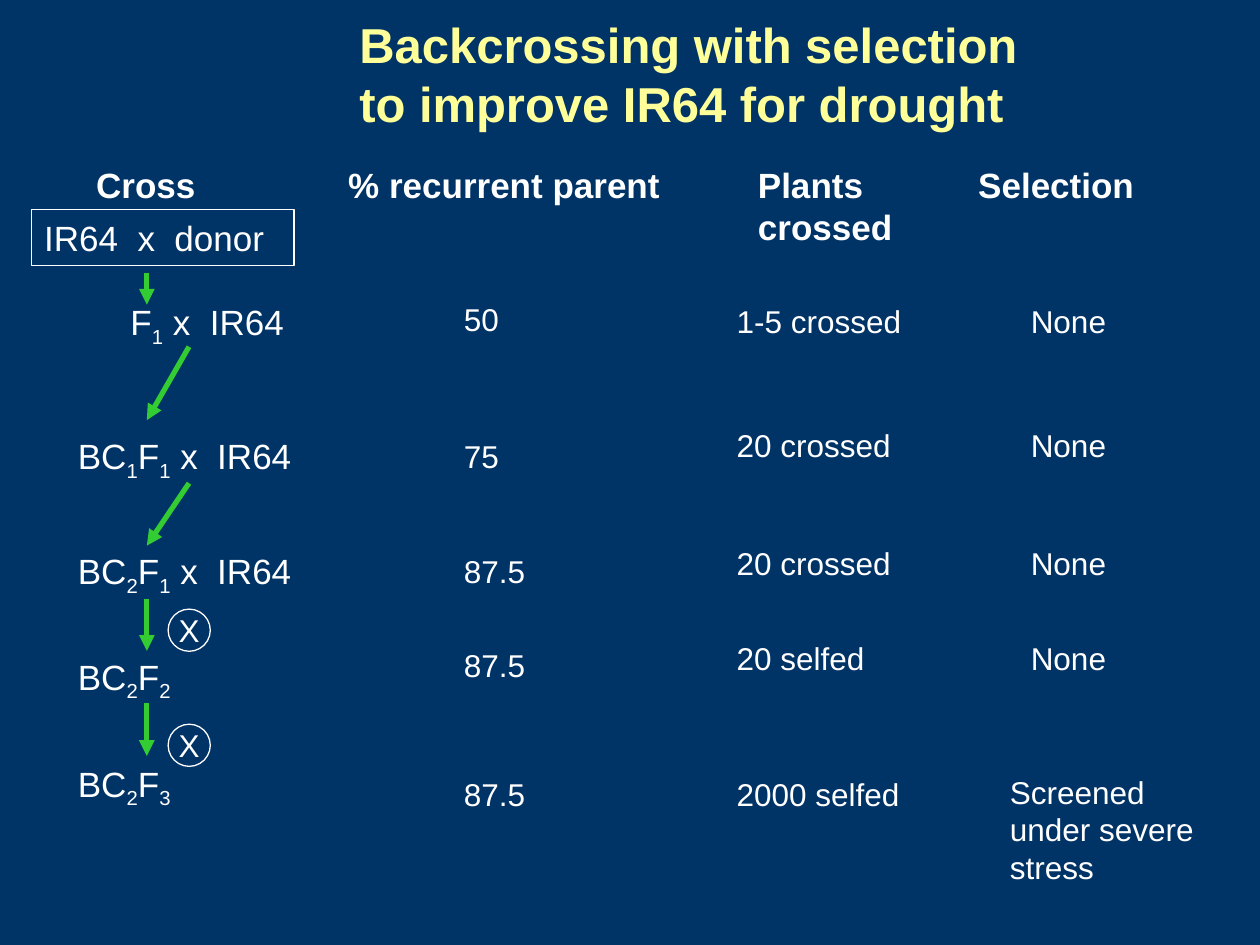
import dataclasses

import pptx
import pptx.dml.color
import pptx.enum.shapes
import pptx.enum.text
import pptx.oxml.ns
import pptx.util
from lxml import etree

Cm = pptx.util.Cm
SHAPES = pptx.enum.shapes.MSO_SHAPE
ALIGN = pptx.enum.text.PP_ALIGN
ANCHOR = pptx.enum.text.MSO_ANCHOR


@dataclasses.dataclass
class Theme:
    font: str = "Arial"
    back: str = "003366"
    title: str = "FFFF99"
    text: str = "FFFFFF"
    arrow: str = "33CC33"
    large: int = 28
    head: int = 20
    body: int = 18
    thin: float = 0.75
    thick: float = 3


def paint(code):
    return pptx.dml.color.RGBColor.from_string(code)


class Painter:
    def __init__(self, deck, theme):
        self.theme = theme
        self.slide = deck.slides.add_slide(deck.slide_layouts[5])
        fill = self.slide.background.fill
        fill.solid()
        fill.fore_color.rgb = paint(theme.back)

    def style(self, frame, size, color, bold=False, align=ALIGN.LEFT):
        for para in frame.paragraphs:
            para.alignment = align
            for run in para.runs:
                font = run.font
                font.name = self.theme.font
                font.size = pptx.util.Pt(size)
                font.bold = bold
                font.color.rgb = paint(color)

    def title(self, text, left, top, width, height):
        shape = self.slide.shapes.title
        shape.left, shape.top = Cm(left), Cm(top)
        shape.width, shape.height = Cm(width), Cm(height)
        frame = shape.text_frame
        frame.text = text
        frame.word_wrap = True
        frame.auto_size = pptx.enum.text.MSO_AUTO_SIZE.NONE
        frame.vertical_anchor = ANCHOR.MIDDLE
        self.style(frame, self.theme.large, self.theme.title, True)

    def label(self, text, left, top, width, size, bold=False, height=1.02):
        """Add a text box; an underscore lowers the character after it."""
        box = self.slide.shapes.add_textbox(
            Cm(left), Cm(top), Cm(width), Cm(height))
        frame = box.text_frame
        frame.word_wrap = True
        first, *parts = text.split("_")
        frame.text = first
        para = frame.paragraphs[0]
        for part in parts:
            low = para.add_run()
            low.text = part[0]
            low.font._element.set("baseline", "-25000")
            if part[1:]:
                para.add_run().text = part[1:]
        self.style(frame, size, self.theme.text, bold)

    def outline(self, kind, text, left, top, width, height, size, align):
        shape = self.slide.shapes.add_shape(
            kind, Cm(left), Cm(top), Cm(width), Cm(height))
        shape.shadow.inherit = False
        shape.fill.background()
        shape.line.color.rgb = paint(self.theme.text)
        shape.line.width = pptx.util.Pt(self.theme.thin)
        frame = shape.text_frame
        frame.text = text
        frame.word_wrap = False
        frame.vertical_anchor = ANCHOR.MIDDLE
        if align == ALIGN.CENTER:
            frame.margin_left = frame.margin_right = 0
            frame.margin_top = frame.margin_bottom = 0
        self.style(frame, size, self.theme.text, align=align)

    def arrow(self, start, end):
        line = self.slide.shapes.add_connector(
            pptx.enum.shapes.MSO_CONNECTOR.STRAIGHT,
            *(Cm(value) for value in (*start, *end)))
        line.line.color.rgb = paint(self.theme.arrow)
        line.line.width = pptx.util.Pt(self.theme.thick)
        name = pptx.oxml.ns.qn
        etree.SubElement(line.line._ln, name("a:tailEnd"), type="triangle")
        etree.SubElement(line._element.spPr, name("a:effectLst"))


def main():
    theme = Theme()
    deck = pptx.Presentation()
    deck.slide_width, deck.slide_height = Cm(25.4), Cm(19.05)
    art = Painter(deck, theme)

    art.title("Backcrossing with selection \vto improve IR64 for drought",
              6.99, 1.06, 17.99, 0.85)

    # Column heads
    for text, left, width, height in (
            ("Cross", 1.69, 4.23, 1.11),
            ("% recurrent parent", 6.77, 7.62, 1.11),
            ("Plants crossed", 15.03, 3.89, 1.96),
            ("Selection", 19.47, 4.87, 1.11)):
        art.label(text, left, 3.18, width, theme.head, True, height)

    # First cross
    art.outline(SHAPES.RECTANGLE, "IR64  x  donor", 0.64, 4.23, 5.29, 1.12,
                theme.head, ALIGN.LEFT)

    # Crosses down the left side
    for text, left, top in (
            ("F_1 x  IR64", 2.38, 5.93),
            ("BC_1F_1 x  IR64", 1.32, 8.64),
            ("BC_2F_1 x  IR64", 1.32, 10.96),
            ("BC_2F_2", 1.32, 13.08),
            ("BC_2F_3", 1.32, 15.24)):
        art.label(text, left, top, 6.5 - left, theme.head, height=1.22)

    # Share of recurrent parent, and plants used
    for share, high, plants, top in (
            ("50", 5.93, "1-5 crossed", 5.97),
            ("75", 8.68, "20 crossed", 8.47),
            ("87.5", 11, "20 crossed", 10.85),
            ("87.5", 12.9, "20 selfed", 12.75),
            ("87.5", 15.49, "2000 selfed", 15.49)):
        art.label(share, 9.1, high, 2.2, theme.body)
        art.label(plants, 14.6, top, 4.2, theme.body)

    # Selection
    for top in (5.97, 8.47, 10.85, 12.75):
        art.label("None", 20.53, top, 4, theme.body)
    art.label("Screened under severe stress", 20.11, 15.45, 4.65, theme.body,
              height=2.54)

    # Arrows from one cross to the next
    near, far = 2.96, 3.81
    for left, top, base in (
            (near, 5.5, 6.14), (far, 6.99, 8.47), (far, 9.74, 11),
            (near, 12.07, 13.12), (near, 14.18, 15.24)):
        art.arrow((left, top), (near, base))

    # Selfing marks
    for top in (12.28, 14.6):
        art.outline(SHAPES.OVAL, "X", 3.39, top, 0.85, 0.85,
                    theme.body, ALIGN.CENTER)

    deck.save("out.pptx")


if __name__ == "__main__":
    main()
